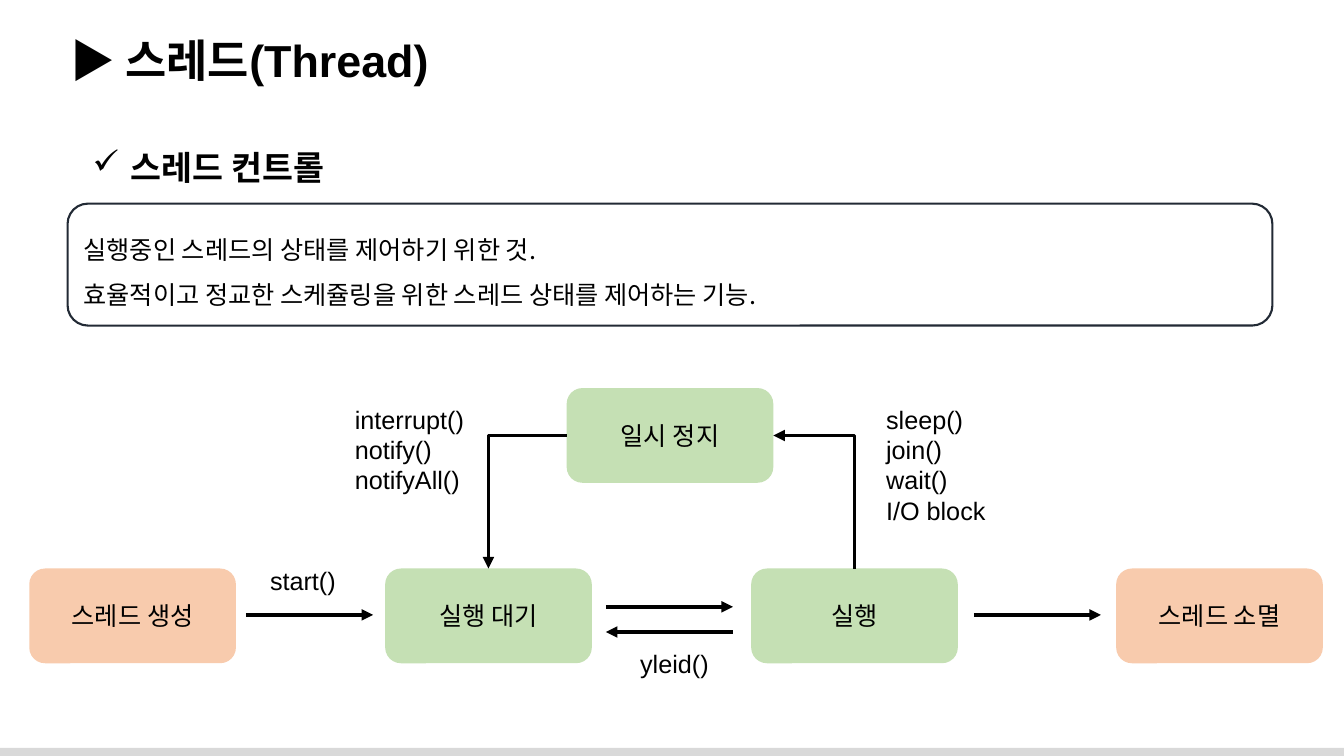
from lxml.etree import SubElement
from pptx import Presentation
from pptx.dml.color import RGBColor
from pptx.enum.shapes import MSO_CONNECTOR, MSO_SHAPE
from pptx.enum.text import MSO_ANCHOR, MSO_AUTO_SIZE, PP_ALIGN
from pptx.oxml.ns import qn
from pptx.util import Inches, Pt

BLACK = RGBColor(0x00, 0x00, 0x00)
GRAY = RGBColor(0xD9, 0xD9, 0xD9)
NAVY = RGBColor(0x22, 0x2A, 0x35)
GREEN = RGBColor(0xC5, 0xE0, 0xB4)
ORANGE = RGBColor(0xF8, 0xCB, 0xAD)
LATIN_FONT = "Arial"
KOREAN_FONT = "Noto Sans CJK KR"
STATE_WIDTH, STATE_HEIGHT = 2.05, 0.94
ARROW_LENGTH = 1.26


def style_paragraph(paragraph, size, font_name, bold=False):
    font = paragraph.font
    font.size = Pt(size)
    font.bold = bold
    font.color.rgb = BLACK
    font.name = font_name
    if font_name == KOREAN_FONT:
        properties = paragraph._p.pPr.find(qn("a:defRPr"))
        SubElement(properties, qn("a:ea")).set("typeface", font_name)


def add_bullet(paragraph, character, indent):
    properties = paragraph._p.get_or_add_pPr()
    properties.set("marL", str(Inches(indent)))
    properties.set("indent", str(-Inches(indent)))
    SubElement(properties, qn("a:buChar")).set("char", character)


def add_text(slide, box, lines, size=18, bold=False, wrap=False, bullet=None):
    shape = slide.shapes.add_textbox(*map(Inches, box))
    frame = shape.text_frame
    frame.word_wrap = wrap
    frame.auto_size = MSO_AUTO_SIZE.SHAPE_TO_FIT_TEXT
    frame.text = "\n".join(lines)
    for paragraph in frame.paragraphs:
        if bullet:
            add_bullet(paragraph, bullet, 0.38)
        style_paragraph(paragraph, size, LATIN_FONT, bold)


def add_box(slide, box, lines=(), fill=None, line=None, kind=MSO_SHAPE.ROUNDED_RECTANGLE,
            align=PP_ALIGN.CENTER, spacing=None):
    shape = slide.shapes.add_shape(kind, *map(Inches, box))
    shape.shadow.inherit = False
    if fill is None:
        shape.fill.background()
    else:
        shape.fill.solid()
        shape.fill.fore_color.rgb = fill
    if line is None:
        shape.line.fill.background()
    else:
        shape.line.color.rgb = line
        shape.line.width = Pt(1.5)
    if lines:
        frame = shape.text_frame
        frame.word_wrap = True
        frame.vertical_anchor = MSO_ANCHOR.MIDDLE
        frame.text = "\n".join(lines)
        for paragraph in frame.paragraphs:
            paragraph.alignment = align
            paragraph.line_spacing = spacing
            style_paragraph(paragraph, 18, KOREAN_FONT)
    return shape


def style_arrow(connector, arrow_end):
    connector.line.color.rgb = BLACK
    connector.line.width = Pt(2.75)
    line = connector.line._get_or_add_ln()
    SubElement(line, qn(f"a:{arrow_end}")).set("type", "triangle")
    SubElement(connector._element.spPr, qn("a:effectLst"))


def add_arrow(slide, left, top, arrow_end="tailEnd"):
    connector = slide.shapes.add_connector(
        MSO_CONNECTOR.STRAIGHT, Inches(left), Inches(top),
        Inches(left + ARROW_LENGTH), Inches(top))
    style_arrow(connector, arrow_end)


def add_elbow(slide, side_state, side, top_state, arrow_end):
    connector = slide.shapes.add_connector(MSO_CONNECTOR.ELBOW, 0, 0, 0, 0)
    connector.begin_connect(side_state, side)
    connector.end_connect(top_state, 0)
    connector._element.spPr.find(qn("a:prstGeom")).set("prst", "bentConnector2")
    style_arrow(connector, arrow_end)


def add_heading(slide, left, top):
    add_text(slide, (left, top, 12.6, 0.64), ["▶ 스레드(Thread)"], 32, True, wrap=True)
    add_text(slide, (left + 0.22, top + 1.13, 2.72, 0.5), ["스레드 컨트롤"], 24, True, bullet="✓")


def add_description(slide, box):
    add_box(slide, box,
            ["실행중인 스레드의 상태를 제어하기 위한 것.",
             "효율적이고 정교한 스케쥴링을 위한 스레드 상태를 제어하는 기능."],
            line=NAVY, align=PP_ALIGN.LEFT, spacing=1.5)


def add_state_diagram(slide, left, top):
    row = top + 1.79
    states = {}
    for name, offset, state_top, fill in [
        ("스레드 생성", 0, row, ORANGE),
        ("실행 대기", 3.53, row, GREEN),
        ("실행", 7.16, row, GREEN),
        ("스레드 소멸", 10.78, row, ORANGE),
        ("일시 정지", 5.33, top, GREEN),
    ]:
        box = (left + offset, state_top, STATE_WIDTH, STATE_HEIGHT)
        states[name] = add_box(slide, box, [name], fill)

    add_elbow(slide, states["일시 정지"], 1, states["실행 대기"], "tailEnd")
    add_elbow(slide, states["일시 정지"], 3, states["실행"], "headEnd")

    add_arrow(slide, left + 2.15, row + 0.46)
    add_arrow(slide, left + 5.72, row + 0.38)
    add_arrow(slide, left + 5.72, row + 0.63, "headEnd")
    add_arrow(slide, left + 9.37, row + 0.46)

    for offset, label_top, width, height, lines in [
        (3.13, top + 0.11, 1.35, 1.01, ["interrupt()", "notify()", "notifyAll()"]),
        (8.4, top + 0.11, 1.26, 1.31, ["sleep()", "join()", "wait()", "I/O block"]),
        (2.29, row - 0.08, 0.87, 0.4, ["start()"]),
        (5.96, row + 0.74, 0.89, 0.4, ["yleid()"]),
    ]:
        add_text(slide, (left + offset, label_top, width, height), lines)


def main():
    presentation = Presentation()
    presentation.slide_width = Inches(13.33)
    presentation.slide_height = Inches(7.5)
    slide = presentation.slides.add_slide(presentation.slide_layouts[6])
    add_box(slide, (0, 7.42, 13.33, 0.08), fill=GRAY, kind=MSO_SHAPE.RECTANGLE)
    add_heading(slide, 0.6, 0.28)
    add_description(slide, (0.67, 2.02, 11.95, 1.21))
    add_state_diagram(slide, 0.29, 3.85)
    presentation.save("out.pptx")


if __name__ == "__main__":
    main()
